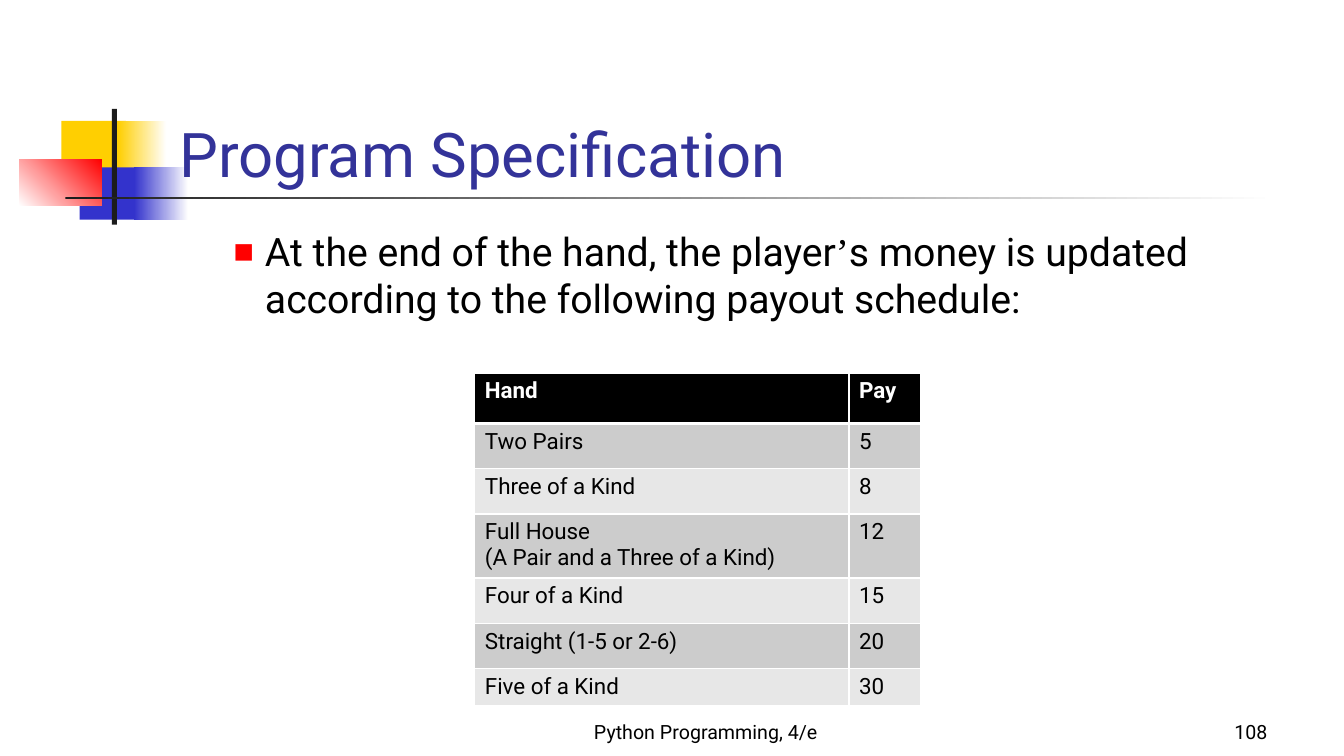
from dataclasses import dataclass

from lxml import etree
from pptx import Presentation
from pptx.dml.color import RGBColor
from pptx.enum.shapes import MSO_SHAPE
from pptx.enum.text import MSO_ANCHOR, PP_ALIGN
from pptx.oxml.ns import qn
from pptx.util import Emu, Pt

RECTANGLE = MSO_SHAPE.RECTANGLE
TOP, BOTTOM = MSO_ANCHOR.TOP, MSO_ANCHOR.BOTTOM
LEFT, CENTER, RIGHT = PP_ALIGN.LEFT, PP_ALIGN.CENTER, PP_ALIGN.RIGHT
EMU_PER_PX = 9144


@dataclass(frozen=True)
class Theme:
    """Colours, fonts and type sizes of the slide."""
    font: str = "Roboto"
    quote_font: str = "Times New Roman"
    title_size: int = 44
    body_size: int = 28
    table_size: int = 16
    footer_size: int = 14
    text: str = "000000"
    title: str = "333399"
    white: str = "FFFFFF"
    yellow: str = "FFCF01"
    blue: str = "3333CC"
    red: str = "FF0000"
    dark: str = "1C1C1C"
    header: str = "000000"
    bands: tuple = ("CCCCCC", "E7E7E7")


THEME = Theme()
PAYOUTS = [
    ("Hand", "Pay"),
    ("Two Pairs", "5"),
    ("Three of a Kind", "8"),
    ("Full House\n(A Pair and a Three of a Kind)", "12"),
    ("Four of a Kind", "15"),
    ("Straight (1-5 or 2-6)", "20"),
    ("Five of a Kind", "30"),
]


def px(length):
    """Turn px into EMU."""
    return Emu(length * EMU_PER_PX)


def write(paragraph, text, size, color=THEME.text, font=THEME.font, bold=False, align=LEFT):
    """Append formatted text to a paragraph, with a line break at each newline."""
    paragraph.alignment = align
    for index, line in enumerate(text.split("\n")):
        if index:
            paragraph.add_line_break()
        run = paragraph.add_run()
        run.text = line
        run.font.name = font
        run.font.size = Pt(size)
        run.font.bold = bold
        run.font.color.rgb = RGBColor.from_string(color)


def add_text_area(slide, box, anchor=TOP):
    """Add a wrapping text box and return its first paragraph."""
    frame = slide.shapes.add_textbox(*map(px, box)).text_frame
    frame.word_wrap = True
    frame.vertical_anchor = anchor
    return frame.paragraphs[0]


def add_block(slide, box, start, end=None, angle=0):
    """Add a borderless rectangle, plain or fading from start to end."""
    shape = slide.shapes.add_shape(RECTANGLE, *map(px, box))
    shape.shadow.inherit = False
    shape.line.fill.background()
    if end is None:
        shape.fill.solid()
        shape.fill.fore_color.rgb = RGBColor.from_string(start)
        return
    shape.fill.gradient()
    shape.fill.gradient_angle = angle
    for stop, position, color in zip(shape.fill.gradient_stops, (0, 1), (start, end)):
        stop.position = position
        stop.color.rgb = RGBColor.from_string(color)


def add_ornament(slide, box):
    """Draw the coloured blocks and the crossing rules."""
    left, top, width, height = box
    add_block(slide, (left + 42, top + 12, 64, 52), THEME.yellow)
    add_block(slide, (left + 98, top + 12, 48, 52), THEME.yellow, THEME.white)
    add_block(slide, (left + 60, top + 58, 62, 52), THEME.blue)
    add_block(slide, (left + 114, top + 58, 54, 52), THEME.blue, THEME.white)
    add_block(slide, (left, top + 50, 82, 46), THEME.white, THEME.red, angle=45)
    add_block(slide, (left + 92, top, 5, height), THEME.dark)
    add_block(slide, (left + 46, top + 87, width - 46, 3), THEME.dark, THEME.white)


def add_title(slide, box):
    """Place the slide title."""
    paragraph = add_text_area(slide, box, BOTTOM)
    write(paragraph, "Program Specification", THEME.title_size, THEME.title)


def add_body(slide, box):
    """Place the bulleted statement."""
    paragraph = add_text_area(slide, box)
    pieces = [
        ("At the end of the hand, the player", THEME.font),
        ("’", THEME.quote_font),
        ("s money is updated according to the following payout schedule:", THEME.font),
    ]
    for text, font in pieces:
        write(paragraph, text, THEME.body_size, font=font)
    properties = paragraph._p.get_or_add_pPr()
    properties.set("marL", str(px(81)))
    properties.set("indent", str(px(-31)))
    color = etree.SubElement(properties, qn("a:buClr"))
    etree.SubElement(color, qn("a:srgbClr"), val=THEME.red)
    etree.SubElement(properties, qn("a:buSzPct"), val="55000")
    etree.SubElement(properties, qn("a:buFont"), typeface=THEME.font)
    etree.SubElement(properties, qn("a:buChar"), char="■")


def set_borders(cell, bottom):
    """Give a cell white borders with the given bottom weight in points."""
    properties = cell._tc.get_or_add_tcPr()
    for index, (side, weight) in enumerate(zip("LRTB", (1, 1, 1, bottom))):
        line = etree.Element(qn(f"a:ln{side}"), w=str(Pt(weight)))
        fill = etree.SubElement(line, qn("a:solidFill"))
        etree.SubElement(fill, qn("a:srgbClr"), val=THEME.white)
        properties.insert(index, line)


def add_payout_table(slide, box):
    """Place the payout schedule."""
    left, top, width, height = box
    row_heights = [50, 45, 45, 63, 45, 45, 37]
    frame = slide.shapes.add_table(len(PAYOUTS), 2, *map(px, box))
    table = frame.table
    table.first_row = table.horz_banding = False
    for column, column_width in zip(table.columns, (width - 71, 71)):
        column.width = px(column_width)
    for index, (row, values) in enumerate(zip(table.rows, PAYOUTS)):
        row.height = px(row_heights[index])
        is_header = index == 0
        fill = THEME.header if is_header else THEME.bands[(index - 1) % 2]
        for cell, value in zip(row.cells, values):
            cell.fill.solid()
            cell.fill.fore_color.rgb = RGBColor.from_string(fill)
            set_borders(cell, 3 if is_header else 1)
            write(cell.text_frame.paragraphs[0], value, THEME.table_size,
                  THEME.white if is_header else THEME.text, bold=is_header)


def add_footer(slide, box):
    """Place the footer text and the slide number."""
    left, top, width, height = box
    label = add_text_area(slide, (left, top, 422, height), BOTTOM)
    write(label, "Python Programming, 4/e", THEME.footer_size, align=CENTER)
    number = add_text_area(slide, (left + width - 278, top, 278, height), BOTTOM)
    write(number, "108", THEME.footer_size, align=RIGHT)


def main():
    """Build and save the slide."""
    presentation = Presentation()
    presentation.slide_width, presentation.slide_height = px(1333), px(750)
    slide = presentation.slides.add_slide(presentation.slide_layouts[6])
    add_ornament(slide, (19, 108, 1246, 115))
    add_footer(slide, (489, 692, 778, 50))
    add_title(slide, (168, 68, 1136, 125))
    add_body(slide, (172, 221, 1133, 450))
    add_payout_table(slide, (471, 370, 442, 330))
    presentation.save("out.pptx")


if __name__ == "__main__":
    main()
